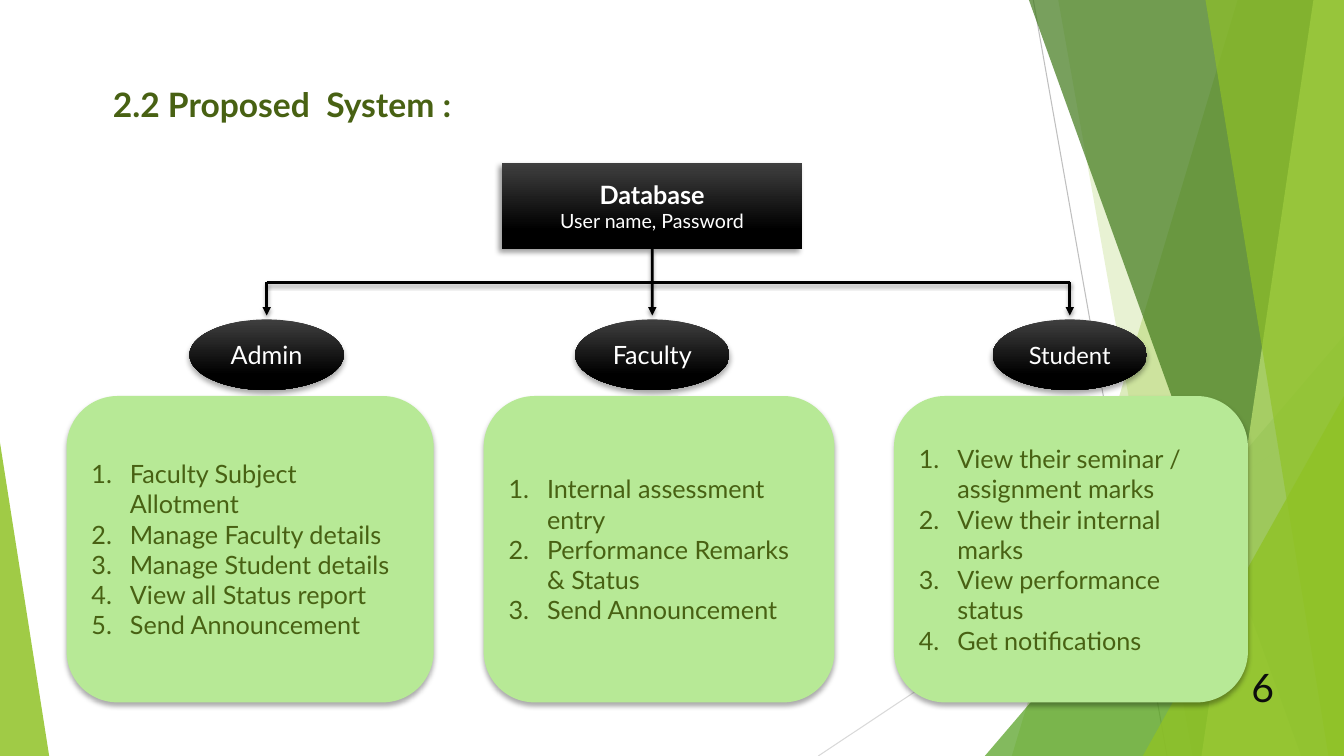
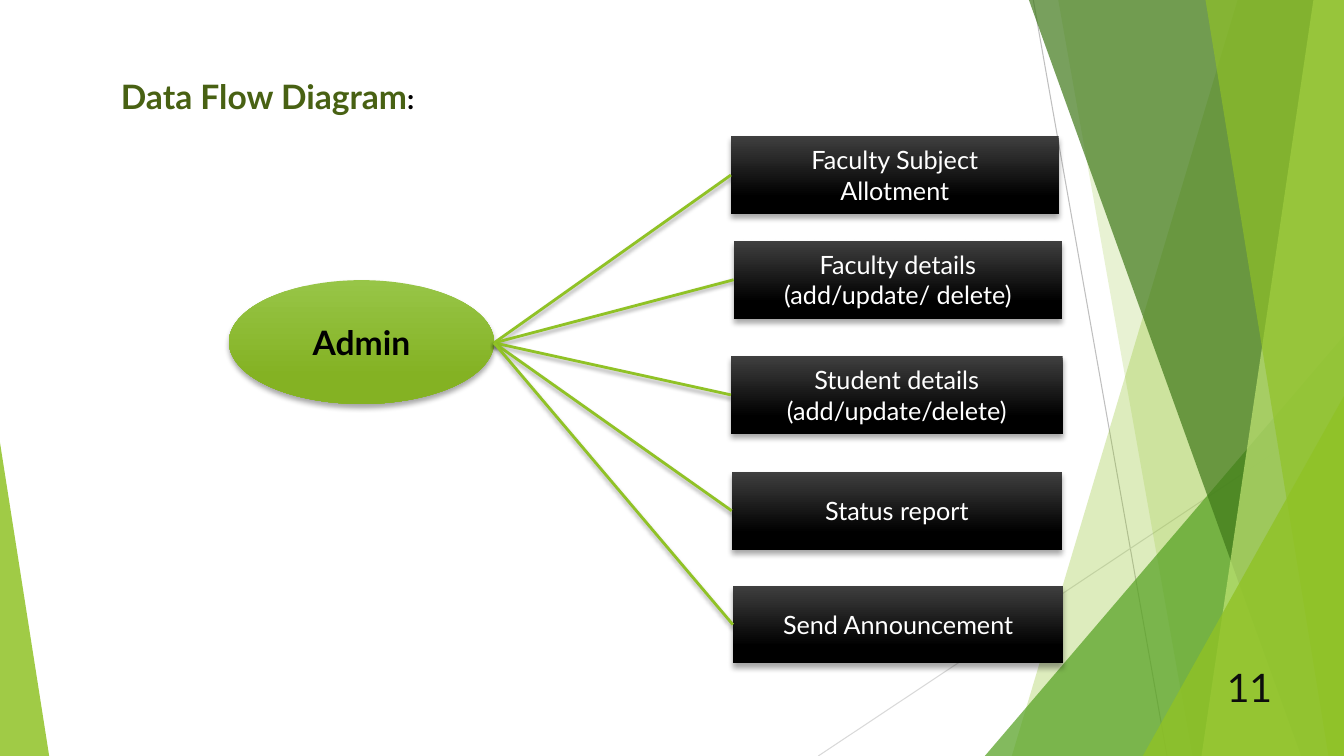
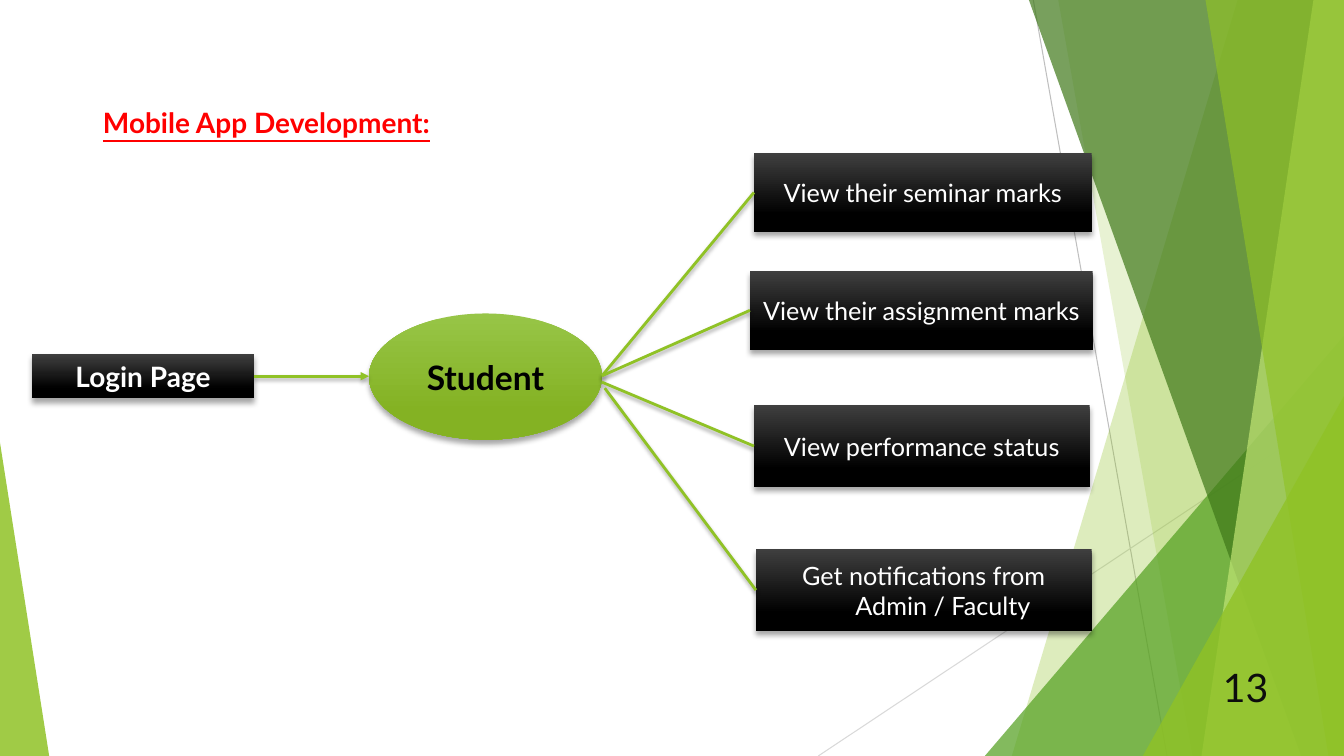
from dataclasses import dataclass

from lxml.etree import SubElement
from pptx import Presentation
from pptx.dml.color import RGBColor
from pptx.enum.shapes import MSO_CONNECTOR, MSO_SHAPE
from pptx.enum.text import MSO_ANCHOR, MSO_AUTO_SIZE, PP_ALIGN
from pptx.oxml.ns import qn
from pptx.util import Cm, Pt


@dataclass(frozen=True)
class Theme:
    """Colours, type sizes and effects shared by all slides."""

    font: str = "Lato"
    leaf: str = "90C226"
    lime: str = "C0E474"
    grass: str = "54A021"
    forest: str = "3F7819"
    olive: str = "486113"
    mint: str = "B7E996"
    black: str = "000000"
    white: str = "FFFFFF"
    red: str = "FF0000"
    ink: str = "0D0D0D"
    silver: str = "BFBFBF"
    pale: str = "D9D9D9"
    dark_gradient: tuple = ("3F3F3F", "000000")
    green_gradient: tuple = ("97C547", "84B223")
    heading: int = 24
    subheading: int = 20
    body: int = 18
    compact: int = 17
    small: int = 14
    number: int = 28
    node_shadow: tuple = (35, 4, 3, 90)
    root_shadow: tuple = (40, 4, 3, 135)
    card_shadow: tuple = (32, 3.5, 2.2, 90)
    line_shadow: tuple = (35, 3, 2, 90)


THEME = Theme()
WIDTH, HEIGHT = 33.87, 19.05
HANGING = 0.97


def color(value):
    """Turn a hexadecimal value into a colour."""
    return RGBColor.from_string(value)


def format_span(span, size, ink, bold=False, underline=None):
    """Apply the theme font and the given look to a run."""
    span.font.name = THEME.font
    span.font.size = Pt(size)
    span.font.color.rgb = color(ink)
    span.font.bold = bold
    span.font.underline = underline


def write(box, text, size, ink, bold=False, align=PP_ALIGN.CENTER):
    """Fill a box with evenly formatted, vertically centred text."""
    frame = box.text_frame
    frame.text = text
    frame.word_wrap = True
    frame.vertical_anchor = MSO_ANCHOR.MIDDLE
    for para in frame.paragraphs:
        para.alignment = align
        for span in para.runs:
            format_span(span, size, ink, bold)


def hang(box, numbered=False):
    """Give every paragraph a hanging indent and, if asked, a number."""
    for para in box.text_frame.paragraphs:
        properties = para._p.get_or_add_pPr()
        properties.set("marL", str(Cm(HANGING)))
        properties.set("indent", str(-Cm(HANGING)))
        if numbered:
            SubElement(properties, qn("a:buAutoNum"), type="arabicPeriod")


def add_shadow(effects, shadow):
    """Put an outer shadow into an effect list."""
    alpha, blur, distance, angle = shadow
    outer = SubElement(
        effects, qn("a:outerShdw"), blurRad=str(Pt(blur)), dist=str(Pt(distance)),
        dir=str(angle * 60000), algn="ctr", rotWithShape="0")
    tint = SubElement(outer, qn("a:srgbClr"), val=THEME.black)
    SubElement(tint, qn("a:alpha"), val=str(alpha * 1000))


def add_box(page, kind, place, fill, shadow=THEME.node_shadow):
    """Add a borderless shape with a solid or gradient fill and a shadow."""
    box = page.shapes.add_shape(kind, *map(Cm, place))
    if isinstance(fill, tuple):
        box.fill.gradient()
        box.fill.gradient_angle = 270
        for stop, position, tint in zip(box.fill.gradient_stops, (0, 0.78), fill):
            stop.position = position
            stop.color.rgb = color(tint)
    else:
        box.fill.solid()
        box.fill.fore_color.rgb = color(fill)
    box.line.fill.background()
    box.shadow.inherit = False
    add_shadow(box._element.spPr.find(qn("a:effectLst")), shadow)
    return box


def add_line(page, begin, end, ink, width=2, shadow=THEME.line_shadow, arrow=False):
    """Add a straight connector, with an arrowhead at its end if asked."""
    line = page.shapes.add_connector(MSO_CONNECTOR.STRAIGHT, *map(Cm, (*begin, *end)))
    line.line.color.rgb = color(ink)
    line.line.width = Pt(width)
    if arrow:
        SubElement(line.line._get_or_add_ln(), qn("a:tailEnd"), type="triangle")
    effects = SubElement(line._element.spPr, qn("a:effectLst"))
    if shadow:
        add_shadow(effects, shadow)
    return line


def tint_facet(facet, fill, opacity):
    """Give a background facet its translucent fill."""
    facet.fill.solid()
    facet.fill.fore_color.rgb = color(fill)
    tint = facet._element.spPr.find(qn("a:solidFill")).find(qn("a:srgbClr"))
    SubElement(tint, qn("a:alpha"), val=str(opacity * 1000))
    facet.line.fill.background()
    facet.shadow.inherit = False


def add_band(group, top, bottom, fill, opacity):
    """Add a full-height facet from a slanted left side to the right edge."""
    builder = group.shapes.build_freeform(Cm(top), 0)
    corners = [(WIDTH, 0), (WIDTH, HEIGHT), (bottom, HEIGHT)]
    builder.add_line_segments([(Cm(x), Cm(y)) for x, y in corners])
    tint_facet(builder.convert_to_shape(), fill, opacity)


def add_wedge(group, left, top, width, apex, fill, opacity):
    """Add a right-angled triangle standing on the bottom edge."""
    place = map(Cm, (left, top, width, HEIGHT - top))
    wedge = group.shapes.add_shape(MSO_SHAPE.ISOSCELES_TRIANGLE, *place)
    wedge.adjustments[0] = apex
    tint_facet(wedge, fill, opacity)


def decorate_layout(layout, page):
    """Build the faceted background and move it to the shared layout."""
    group = page.shapes.add_group_shape()
    add_line(group, (26.04, 0), (29.41, HEIGHT), THEME.silver, 0.75, None)
    add_line(group, (WIDTH, 10.24), (20.62, HEIGHT), THEME.pale, 0.75, None)
    add_band(group, 31.19, 25.5, THEME.leaf, 30)
    add_band(group, 26.67, 30.05, THEME.leaf, 20)
    add_wedge(group, 24.82, 8.46, 9.05, 1, THEME.grass, 72)
    add_band(group, 25.93, 32.79, THEME.forest, 70)
    add_band(group, 33.1, 30.28, THEME.lime, 70)
    add_band(group, 30.38, 33.48, THEME.leaf, 65)
    add_wedge(group, 28.8, 9.98, 5.07, 1, THEME.leaf, 80)
    add_wedge(group, 0, 11.15, 1.24, 0, THEME.leaf, 85)
    for number, node in enumerate(group._element.iter(qn("p:cNvPr")), 100):
        node.set("id", str(number))
    layout.shapes._spTree.insert(2, group._element)


def add_title(page, place, text, size=THEME.heading, ink=THEME.olive, underline=None):
    """Place the title placeholder and return its paragraph."""
    title = page.shapes.title
    title.left, title.top, title.width, title.height = map(Cm, place)
    write(title, text, size, ink, True, PP_ALIGN.LEFT)
    title.text_frame.vertical_anchor = MSO_ANCHOR.TOP
    title.text_frame.auto_size = MSO_AUTO_SIZE.NONE
    para = title.text_frame.paragraphs[0]
    para.runs[0].font.underline = underline
    return para


def add_number(page, number, right):
    """Write the page number, ending at the given right edge."""
    left = 23.85
    box = page.shapes.add_textbox(Cm(left), Cm(16.79), Cm(right - left), Cm(1.02))
    write(box, number, THEME.number, THEME.ink, align=PP_ALIGN.RIGHT)


def add_hub(page, place, text):
    """Add the green ellipse from which branches leave."""
    hub = add_box(page, MSO_SHAPE.OVAL, place, THEME.green_gradient)
    write(hub, text, THEME.heading, THEME.black, True)


def add_branches(page, branches):
    """Add dark boxes, each joined to its starting point by a line."""
    boxes = []
    for start, place, text in branches:
        box = add_box(page, MSO_SHAPE.RECTANGLE, place, THEME.dark_gradient)
        write(box, text, THEME.body, THEME.white)
        hang(box)
        boxes.append((start, box))
    for start, box in boxes:
        add_line(page, start, start, THEME.leaf).end_connect(box, 1)


def build_system(page):
    """Build the proposed system tree."""
    add_title(page, (2.59, 1.98, 26.34, 1.27), "2.2 Proposed  System :")
    database = add_box(page, MSO_SHAPE.RECTANGLE, (12.65, 4.11, 7.57, 2.16),
                       THEME.dark_gradient, THEME.root_shadow)
    write(database, "Database\nUser name, Password", THEME.small, THEME.white)
    format_span(database.text_frame.paragraphs[0].runs[0],
                THEME.body, THEME.white, True)

    roles = [
        ("Admin", 6.72, THEME.body, 1.68, 9.25,
         ["Faculty Subject Allotment", "Manage Faculty details",
          "Manage Student details", "View all Status report", "Send Announcement"]),
        ("Faculty", 16.44, THEME.body, 12.19, 8.84,
         ["Internal assessment entry", "Performance Remarks & Status",
          "Send Announcement"]),
        ("Student", 26.96, THEME.compact, 22.53, 8.92,
         ["View their seminar / assignment marks", "View their internal marks",
          "View performance status", "Get notifications"]),
    ]
    bar, tip, oval_width = 7.11, 7.95, 3.89
    add_line(page, (roles[0][1], bar), (roles[-1][1], bar), THEME.black)
    for name, center, size, left, width, duties in roles:
        oval = add_box(page, MSO_SHAPE.OVAL,
                       (center - oval_width / 2, 8.05, oval_width, 1.78),
                       THEME.dark_gradient)
        write(oval, name, size, THEME.white)
        arrow = add_line(page, (center, bar), (center, tip), THEME.black, arrow=True)
        if name == "Faculty":
            arrow.begin_connect(database, 2)
        card = add_box(page, MSO_SHAPE.ROUNDED_RECTANGLE, (left, 9.98, width, 7.72),
                       THEME.mint, THEME.card_shadow)
        write(card, "\n".join(duties), THEME.body, THEME.olive, align=PP_ALIGN.LEFT)
        hang(card, numbered=True)
    add_number(page, "6", 32.36)


def build_data_flow(page):
    """Build the data flow of the admin."""
    para = add_title(page, (2.79, 1.78, 9.19, 1.27), "Data Flow Diagram")
    colon = para.add_run()
    colon.text = ":"
    format_span(colon, THEME.subheading, THEME.black, True)
    add_hub(page, (5.77, 7.06, 6.68, 3.12), "Admin")
    start = (12.45, 8.64)
    add_branches(page, [
        (start, (18.42, 3.43, 8.26, 1.96), "Faculty Subject\nAllotment"),
        (start, (18.49, 6.07, 8.28, 1.96), "Faculty details\n(add/update/ delete)"),
        (start, (18.42, 8.97, 8.36, 1.96), "Student details\n(add/update/delete)"),
        (start, (18.44, 11.89, 8.33, 1.96), "Status report"),
        (start, (18.47, 14.76, 8.33, 1.96), "Send Announcement"),
    ])
    add_number(page, "11", 32.31)


def build_mobile_app(page):
    """Build the mobile app flow of the student."""
    add_title(page, (2.34, 2.54, 9.78, 1.12), "Mobile App Development:",
              THEME.subheading, THEME.red, True)
    add_hub(page, (9.3, 7.9, 5.87, 3.18), "Student")
    add_branches(page, [
        ((15.17, 9.47), (19, 3.86, 8.51, 1.98), "View their seminar marks"),
        ((15.17, 9.47), (18.9, 6.83, 8.64, 1.98), "View their assignment marks"),
        ((15.17, 9.63), (19, 10.21, 8.46, 2.06), "View performance status"),
        ((15.24, 9.78), (19.05, 13.84, 8.46, 2.06),
         "Get notifications from Admin / Faculty"),
    ])
    login = add_box(page, MSO_SHAPE.RECTANGLE, (0.81, 8.92, 5.59, 1.12),
                    THEME.dark_gradient)
    write(login, "Login Page", THEME.subheading, THEME.white, True)
    arrow = add_line(page, (6.4, 9.48), (9.3, 9.48), THEME.leaf, arrow=True)
    arrow.begin_connect(login, 3)
    add_number(page, "13", 32.21)


def main():
    """Build the deck and save it."""
    deck = Presentation()
    deck.slide_width, deck.slide_height = Cm(WIDTH), Cm(HEIGHT)
    layout = deck.slide_layouts.get_by_name("Title Only")
    pages = [deck.slides.add_slide(layout) for _ in range(3)]
    decorate_layout(layout, pages[0])
    for build, page in zip((build_system, build_data_flow, build_mobile_app), pages):
        build(page)
    deck.save("out.pptx")


if __name__ == "__main__":
    main()
